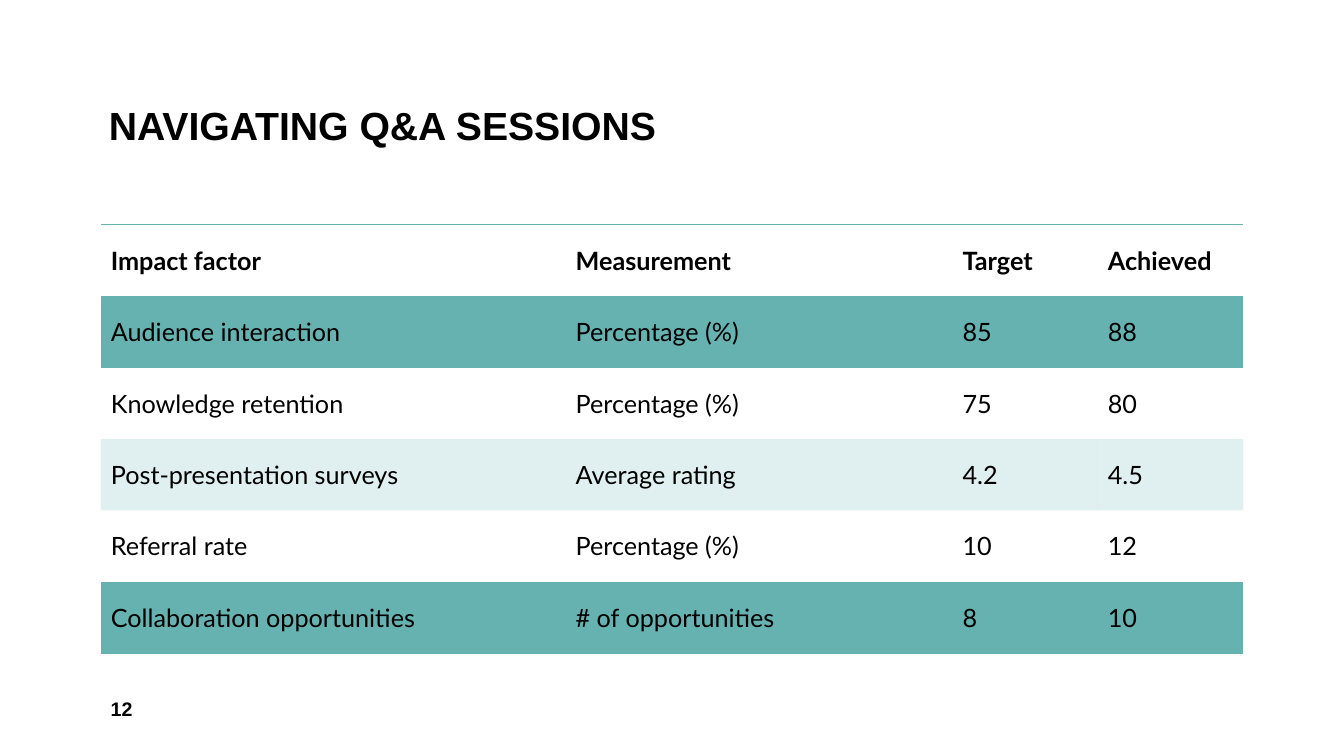
"""Build the Q&A sessions slide with its table of impact factors."""
from dataclasses import dataclass

from lxml.etree import SubElement as Sub
from pptx import Presentation
from pptx.dml.color import RGBColor as RGB
from pptx.enum.text import MSO_ANCHOR as Anchor
from pptx.oxml.ns import qn
from pptx.util import Pt


@dataclass(frozen=True)
class Theme:
    ink: str = "000000"
    teal: str = "66B2B0"
    alpha: int = 20
    head: str = "Arial"
    body: str = "Lato"
    title: int = 28
    cell: int = 18
    page: int = 14
    rule: int = 1


THEME = Theme()
COLS = (332, 276.4, 103.8, 103.8)
ROW = 51
ROWS = (
    ("Impact factor", "Measurement", "Target", "Achieved"),
    ("Audience interaction", "Percentage (%)", "85", "88"),
    ("Knowledge retention", "Percentage (%)", "75", "80"),
    ("Post-presentation surveys", "Average rating", "4.2", "4.5"),
    ("Referral rate", "Percentage (%)", "10", "12"),
    ("Collaboration opportunities", "# of opportunities", "8", "10"),
)


def add_run(para, text, font, size, bold):
    run = para.add_run()
    run.text = text
    run.font.name = font
    run.font.size = Pt(size)
    run.font.bold = bold
    run.font.color.rgb = RGB.from_string(THEME.ink)


def add_label(slide, box, text, size, anchor, space=1.0):
    frame = slide.shapes.add_textbox(*map(Pt, box)).text_frame
    frame.word_wrap = True
    frame.vertical_anchor = anchor
    para = frame.paragraphs[0]
    para.line_spacing = space
    add_run(para, text, THEME.head, size, True)


def add_edge(props, side, shown):
    line = Sub(props, qn(f"a:ln{side}"), w=str(Pt(THEME.rule)))
    if shown:
        fill = Sub(line, qn("a:solidFill"))
        Sub(fill, qn("a:srgbClr"), val=THEME.teal)
    else:
        Sub(line, qn("a:noFill"))


def fill_cell(cell, tint):
    if not tint:
        cell.fill.background()
        return
    cell.fill.solid()
    cell.fill.fore_color.rgb = RGB.from_string(THEME.teal)
    color = cell._tc.tcPr.find(".//" + qn("a:srgbClr"))
    Sub(color, qn("a:alpha"), val=str(THEME.alpha * 1000))


def add_grid(slide, left, top):
    shape = slide.shapes.add_table(
        len(ROWS), len(COLS), Pt(left), Pt(top), Pt(sum(COLS)), Pt(ROW * len(ROWS)))
    table = shape.table
    table.first_row = table.horz_banding = False
    for col, width in zip(table.columns, COLS):
        col.width = Pt(width)
    last = len(ROWS) - 1
    for i, words in enumerate(ROWS):
        table.rows[i].height = Pt(ROW)
        edges = {"L": False, "R": False, "T": i in (0, 1), "B": i in (0, last)}
        for j, text in enumerate(words):
            cell = table.cell(i, j)
            cell.vertical_anchor = Anchor.MIDDLE
            add_run(cell.text_frame.paragraphs[0], text, THEME.body, THEME.cell, i == 0)
            for side, shown in edges.items():
                add_edge(cell._tc.tcPr, side, shown)
            fill_cell(cell, i % 2 == 1)


def main():
    deck = Presentation()
    deck.slide_width, deck.slide_height = Pt(960), Pt(540)
    slide = deck.slides.add_slide(deck.slide_layouts[6])
    add_label(slide, (70.6, 5.8, 819.4, 104.4), "NAVIGATING Q&A SESSIONS",
              THEME.title, Anchor.BOTTOM, 0.9)
    add_grid(slide, 72, 160.6)
    add_label(slide, (72, 491.8, 210, 28.8), "12", THEME.page, Anchor.MIDDLE)
    deck.save("out.pptx")


if __name__ == "__main__":
    main()
